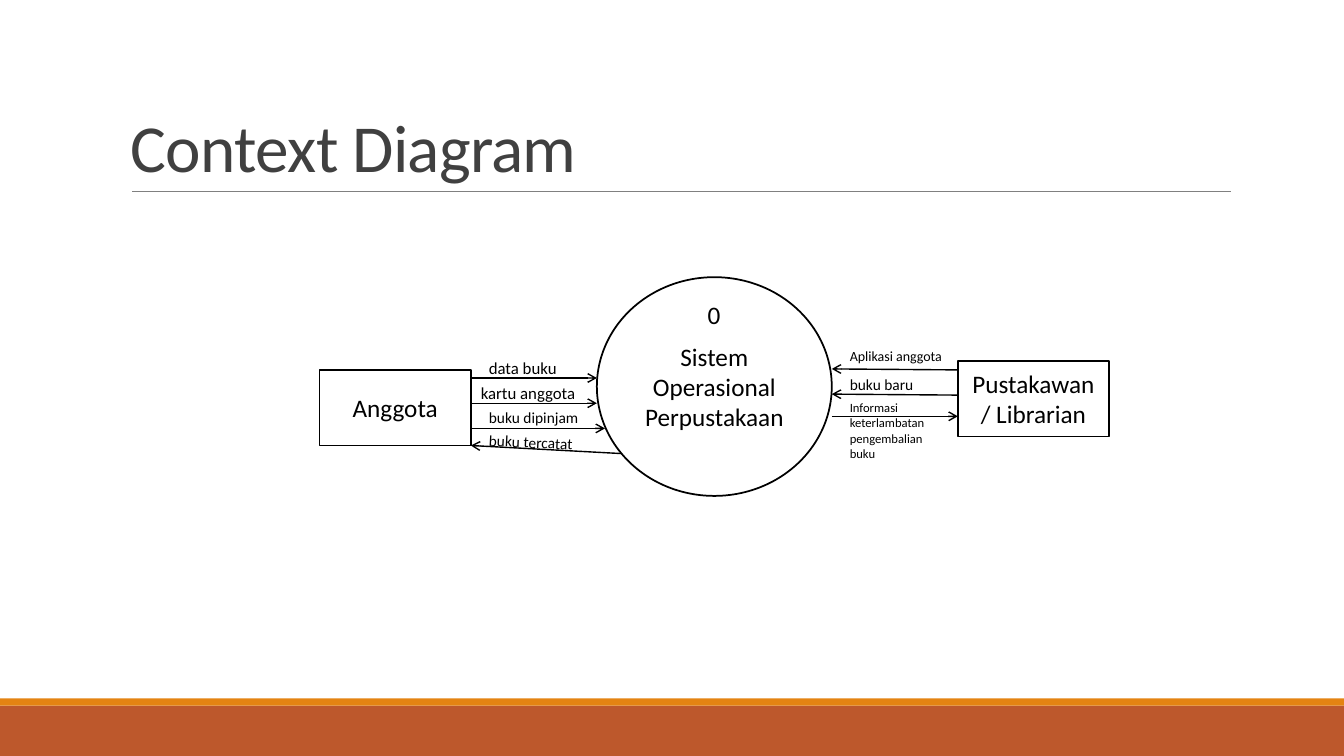
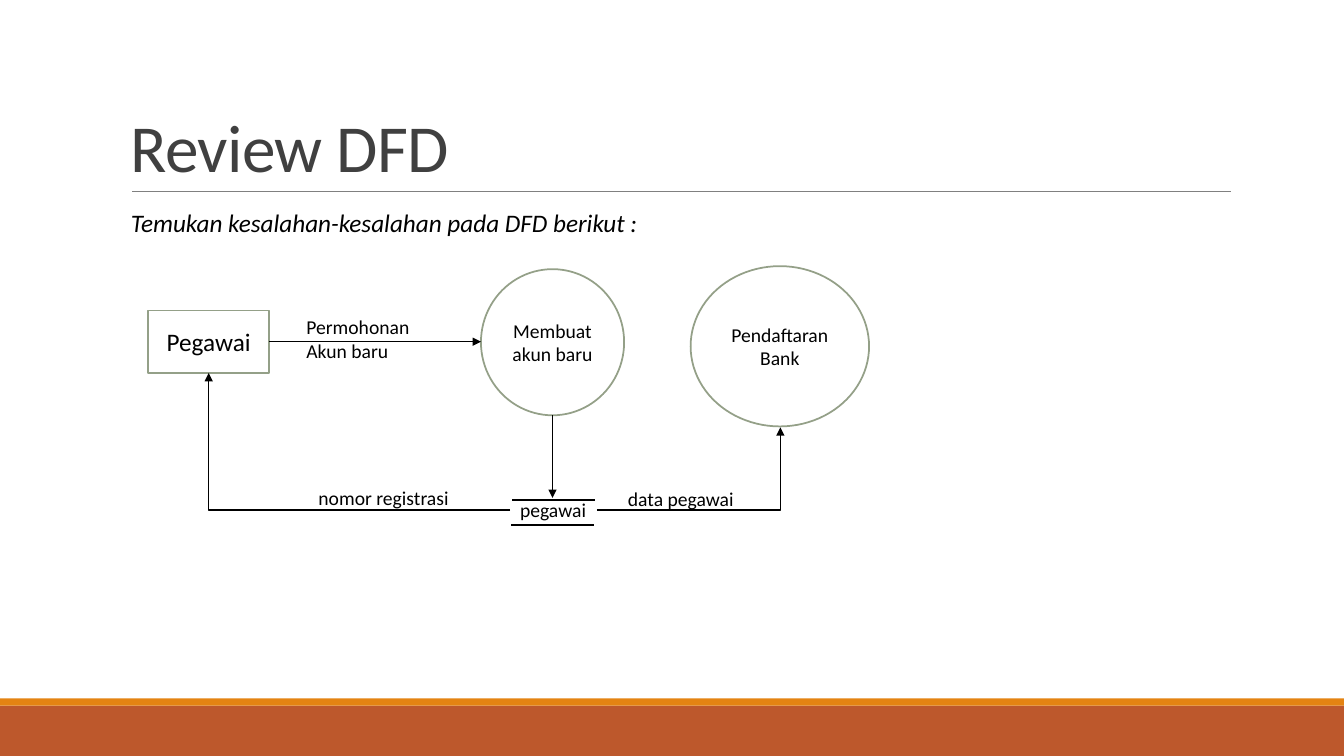
from dataclasses import dataclass

from lxml import etree
from pptx import Presentation
from pptx.dml.color import RGBColor
from pptx.enum.shapes import MSO_CONNECTOR, MSO_SHAPE
from pptx.enum.text import MSO_ANCHOR, MSO_AUTO_SIZE, PP_ALIGN
from pptx.oxml.ns import qn
from pptx.util import Inches, Pt

RECT, OVAL = MSO_SHAPE.RECTANGLE, MSO_SHAPE.OVAL
STRAIGHT, ELBOW = MSO_CONNECTOR.STRAIGHT, MSO_CONNECTOR.ELBOW
LEFT, CENTER = PP_ALIGN.LEFT, PP_ALIGN.CENTER
TOP, MIDDLE, BOTTOM = MSO_ANCHOR.TOP, MSO_ANCHOR.MIDDLE, MSO_ANCHOR.BOTTOM


@dataclass(frozen=True)
class Theme:
    font: str = "Calibri"
    ink: str = "000000"
    paper: str = "FFFFFF"
    title: str = "404040"
    rule: str = "808080"
    band: str = "BD582C"
    stripe: str = "E48312"
    sage: str = "94A088"
    title_size: float = 48
    body_size: float = 18
    label_size: float = 14
    outline: float = 1.25
    flow: float = 1
    hairline: float = 0.5


THEME = Theme()


class Deck:
    def __init__(self, theme):
        self.theme = theme
        self.prs = Presentation()
        self.prs.slide_width, self.prs.slide_height = Inches(13.33), Inches(7.5)
        self.slide = None

    def new_slide(self, title):
        t = self.theme
        self.slide = self.prs.slides.add_slide(self.prs.slide_layouts[6])
        self.shape(RECT, (0, 7, 13.33, 0.5), t.band)
        self.shape(RECT, (0, 6.93, 13.33, 0.07), t.stripe)
        self.line((1.31, 1.9), (12.21, 1.9), color=t.rule, width=t.hairline)
        box = self.slide.shapes.add_textbox(*map(Inches, (1.2, 0.31, 11, 1.59)))
        self.set_text(box.text_frame, [title], t.title_size, anchor=BOTTOM, color=t.title)
        heading = box.text_frame.paragraphs[0]
        heading.line_spacing = 0.85
        heading.runs[0].font._element.set("spc", "-50")

    def set_text(self, frame, lines, size, align=LEFT, anchor=TOP, color=None,
                 italic=False, wrap=True):
        frame.word_wrap = wrap
        frame.vertical_anchor = anchor
        for number, text in enumerate(lines):
            paragraph = frame.add_paragraph() if number else frame.paragraphs[0]
            paragraph.alignment = align
            run = paragraph.add_run()
            run.text = text
            run.font.name = self.theme.font
            run.font.size = Pt(size)
            run.font.italic = italic
            run.font.color.rgb = RGBColor.from_string(color or self.theme.ink)

    def shape(self, kind, box, fill, outline=None):
        shape = self.slide.shapes.add_shape(kind, *map(Inches, box))
        shape.shadow.inherit = False
        shape.fill.solid()
        shape.fill.fore_color.rgb = RGBColor.from_string(fill)
        if outline:
            shape.line.color.rgb = RGBColor.from_string(outline)
            shape.line.width = Pt(self.theme.outline)
        else:
            shape.line.fill.background()
        return shape

    def node(self, kind, box, text, size, outline):
        """Draw an outlined entity or process with centred text."""
        shape = self.shape(kind, box, self.theme.paper, outline)
        self.set_text(shape.text_frame, [text], size, CENTER, MIDDLE)

    def label(self, box, lines, size, wrap=True, italic=False, rotation=0):
        label = self.slide.shapes.add_textbox(*map(Inches, box))
        label.rotation = rotation
        self.set_text(label.text_frame, lines, size, wrap=wrap, italic=italic)
        label.text_frame.auto_size = MSO_AUTO_SIZE.SHAPE_TO_FIT_TEXT

    def line(self, start, end, arrow=None, kind=STRAIGHT, color=None, width=None):
        """Draw a line; arrow names the head at its end, an elbow turns once."""
        line = self.slide.shapes.add_connector(kind, *map(Inches, (*start, *end)))
        line.line.color.rgb = RGBColor.from_string(color or self.theme.ink)
        line.line.width = Pt(width or self.theme.flow)
        properties = line._element.spPr
        if kind == ELBOW:
            properties.find(qn("a:prstGeom")).set("prst", "bentConnector2")
        if arrow:
            etree.SubElement(properties.find(qn("a:ln")), qn("a:tailEnd"), type=arrow)
        etree.SubElement(properties, qn("a:effectLst"))


def context_diagram(deck):
    t = deck.theme
    deck.new_slide("Context Diagram")
    deck.node(OVAL, (5.92, 2.75, 2.33, 2.17), "Sistem Operasional Perpustakaan",
              t.body_size, t.ink)
    deck.label((6.92, 2.92, 0.34, 0.4), ["0"], t.body_size, wrap=False)
    for left, top, entity in ((3.17, 3.67, "Anggota"),
                              (9.5, 3.58, "Pustakawan / Librarian")):
        deck.node(RECT, (left, top, 1.5, 0.75), entity, t.body_size, t.ink)

    flows = (
        # start, end, label box, label, size, rotation
        ((4.67, 3.75), (5.92, 3.75), (4.75, 3.5, 1.14, 0.3), "data buku", 12, 0),
        ((4.67, 4), (5.92, 4), (4.67, 3.75, 1.25, 0.3), "kartu anggota", 12, 0),
        ((4.67, 4.25), (6, 4.25), (4.75, 4, 1.25, 0.29), "buku dipinjam", 11, 0),
        ((6.17, 4.5), (4.67, 4.42), (4.75, 4.25, 1.25, 0.29), "buku tercatat", 11, 2.8),
        ((9.5, 3.67), (8.25, 3.66), (8.33, 3.4, 1.17, 0.27), "Aplikasi anggota", 10, 0),
        ((9.5, 3.92), (8.25, 3.91), (8.33, 3.67, 1, 0.29), "buku baru", 11, 0),
        ((8.25, 4.13), (9.5, 4.13), (8.33, 3.92, 1, 0.71),
         "Informasi keterlambatan pengembalian buku", 9, 0),
    )
    for start, end, box, text, size, rotation in flows:
        deck.line(start, end, "arrow")
        deck.label(box, [text], size, rotation=rotation)


def review_dfd(deck):
    t = deck.theme
    deck.new_slide("Review DFD")
    deck.label((1.2, 2.01, 5.32, 0.4), ["Temukan kesalahan-kesalahan pada DFD berikut :"],
               t.body_size, wrap=False, italic=True)
    nodes = (
        (RECT, (1.47, 3.08, 1.2, 0.62), "Pegawai", t.body_size),
        (OVAL, (4.77, 2.67, 1.42, 1.45), "Membuat akun baru", t.label_size),
        (OVAL, (6.85, 2.64, 1.77, 1.59), "Pendaftaran Bank", t.label_size),
    )
    for kind, box, text, size in nodes:
        deck.node(kind, box, text, size, t.sage)

    flows = (
        ((2.67, 3.39), (4.77, 3.39), STRAIGHT),
        ((5.48, 4.12), (5.48, 4.94), STRAIGHT),
        ((5.06, 5.06), (2.07, 3.7), ELBOW),
        ((5.92, 5.06), (7.74, 4.24), ELBOW),
    )
    for start, end, kind in flows:
        deck.line(start, end, "triangle", kind)

    for store_left, store_edge in ((5.08, 4.96), (5.07, 5.21)):
        deck.line((store_left, store_edge), (store_left + 0.82, store_edge))

    labels = (
        ((2.94, 3.08, 1.23, 0.57), ["Permohonan", "Akun baru"]),
        ((5.06, 4.89, 0.86, 0.34), ["pegawai"]),
        ((3.06, 4.77, 1.51, 0.34), ["nomor registrasi"]),
        ((6.13, 4.78, 1.26, 0.34), ["data pegawai"]),
    )
    for box, lines in labels:
        deck.label(box, lines, t.label_size, wrap=False)


def main():
    deck = Deck(THEME)
    context_diagram(deck)
    review_dfd(deck)
    deck.prs.save("out.pptx")


if __name__ == "__main__":
    main()
